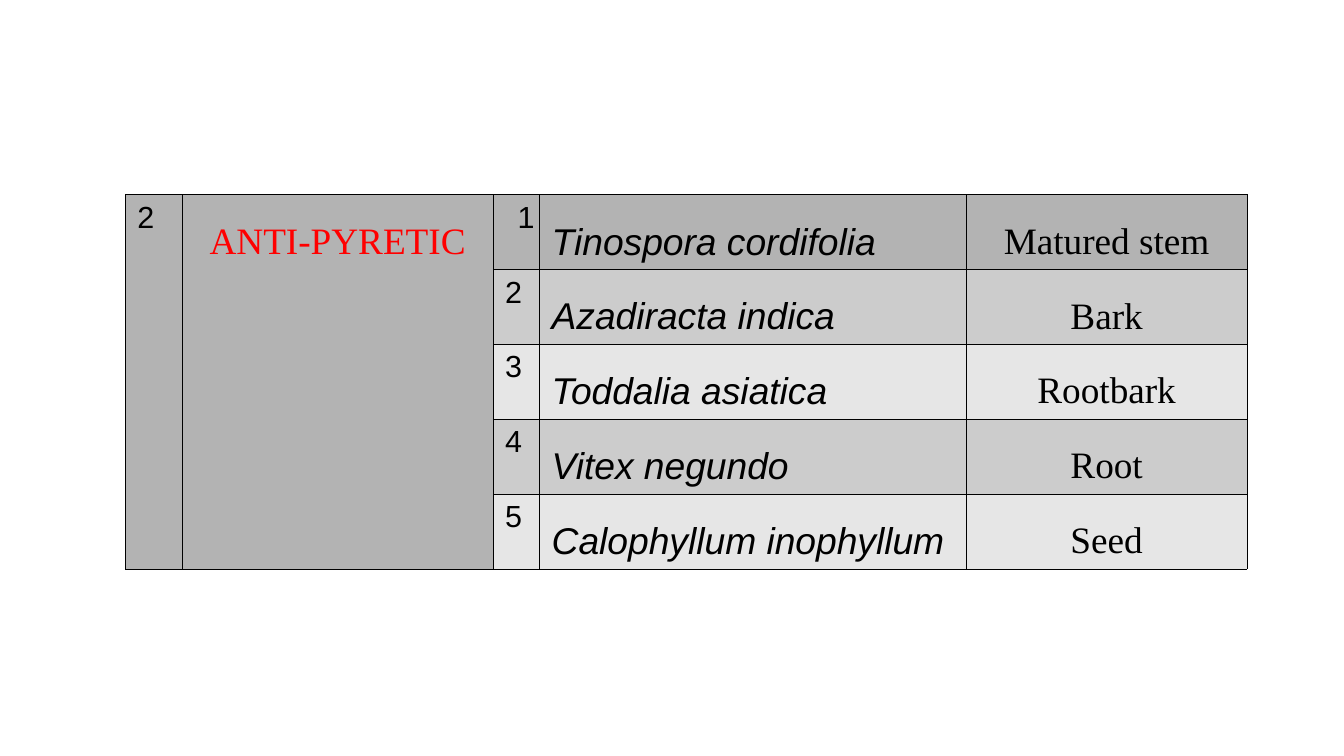
import pptx
import pptx.dml.color
import pptx.enum.text
import pptx.util
from lxml import etree
from pptx.oxml.ns import qn

Cm, Pt = pptx.util.Cm, pptx.util.Pt
ALIGN = pptx.enum.text.PP_ALIGN

GROUP_NUMBER, GROUP_NAME = "2", "ANTI-PYRETIC"
PLANTS = [
    ("Tinospora cordifolia", "Matured stem"),
    ("Azadiracta indica", "Bark"),
    ("Toddalia asiatica", "Rootbark"),
    ("Vitex negundo", "Root"),
    ("Calophyllum inophyllum", "Seed"),
]
HEADER_FILL, BAND_FILLS = "B3B3B3", ("E6E6E6", "CCCCCC")
COL_WIDTHS = (1.19, 6.47, 0.97, 8.89, 5.85)
ROW_HEIGHT = 1.56
LEFT, TOP = 2.61, 4.05

# font, size, italic, alignment, line spacing
NUMBER = ("Arial", 18, False, ALIGN.LEFT, None)
SPECIES = ("Arial", 22, True, ALIGN.LEFT, 1.5)
LABEL = ("Times New Roman", 22, False, ALIGN.CENTER, 1.5)
STYLES = (NUMBER, LABEL, NUMBER, SPECIES, LABEL)


def rgb(value):
    return pptx.dml.color.RGBColor.from_string(value)


def add_borders(cell):
    tcPr = cell._tc.get_or_add_tcPr()
    for side in ("lnL", "lnR", "lnT", "lnB"):
        ln = etree.SubElement(tcPr, qn(f"a:{side}"), w=str(Pt(0.06)))
        fill = etree.SubElement(ln, qn("a:solidFill"))
        etree.SubElement(fill, qn("a:srgbClr"), val="000000")


def write(cell, text, style, color="000000"):
    font, size, italic, align, spacing = style
    p = cell.text_frame.paragraphs[0]
    p.text = text
    p.alignment = align
    if spacing:
        p.line_spacing = spacing
    p.font.name = font
    p.font.size = Pt(size)
    p.font.bold = False
    p.font.italic = italic
    p.font.color.rgb = rgb(color)


prs = pptx.Presentation()
prs.slide_width, prs.slide_height = Cm(28), Cm(15.75)
s = prs.slides.add_slide(prs.slide_layouts[6])

table = s.shapes.add_table(
    len(PLANTS), len(COL_WIDTHS), Cm(LEFT), Cm(TOP),
    Cm(sum(COL_WIDTHS)), Cm(ROW_HEIGHT * len(PLANTS))).table
table.first_row = table.horz_banding = False
for column, width in zip(table.columns, COL_WIDTHS):
    column.width = Cm(width)

for i, plant in enumerate(PLANTS):
    table.rows[i].height = Cm(ROW_HEIGHT)
    group = (GROUP_NUMBER, GROUP_NAME) if i == 0 else ("", "")
    for j, text in enumerate((*group, str(i + 1), *plant)):
        cell = table.cell(i, j)
        add_borders(cell)
        cell.fill.solid()
        cell.fill.fore_color.rgb = rgb(
            HEADER_FILL if i == 0 or j < 2 else BAND_FILLS[i % 2])
        if text:
            write(cell, text, STYLES[j], "FF0000" if j == 1 else "000000")

for j in range(2):
    table.cell(0, j).merge(table.cell(len(PLANTS) - 1, j))

first_number = table.cell(0, 2).text_frame.paragraphs[0]
first_number.alignment = ALIGN.RIGHT
first_number._p.get_or_add_pPr().set("marL", str(Cm(0.61)))

prs.save("out.pptx")
